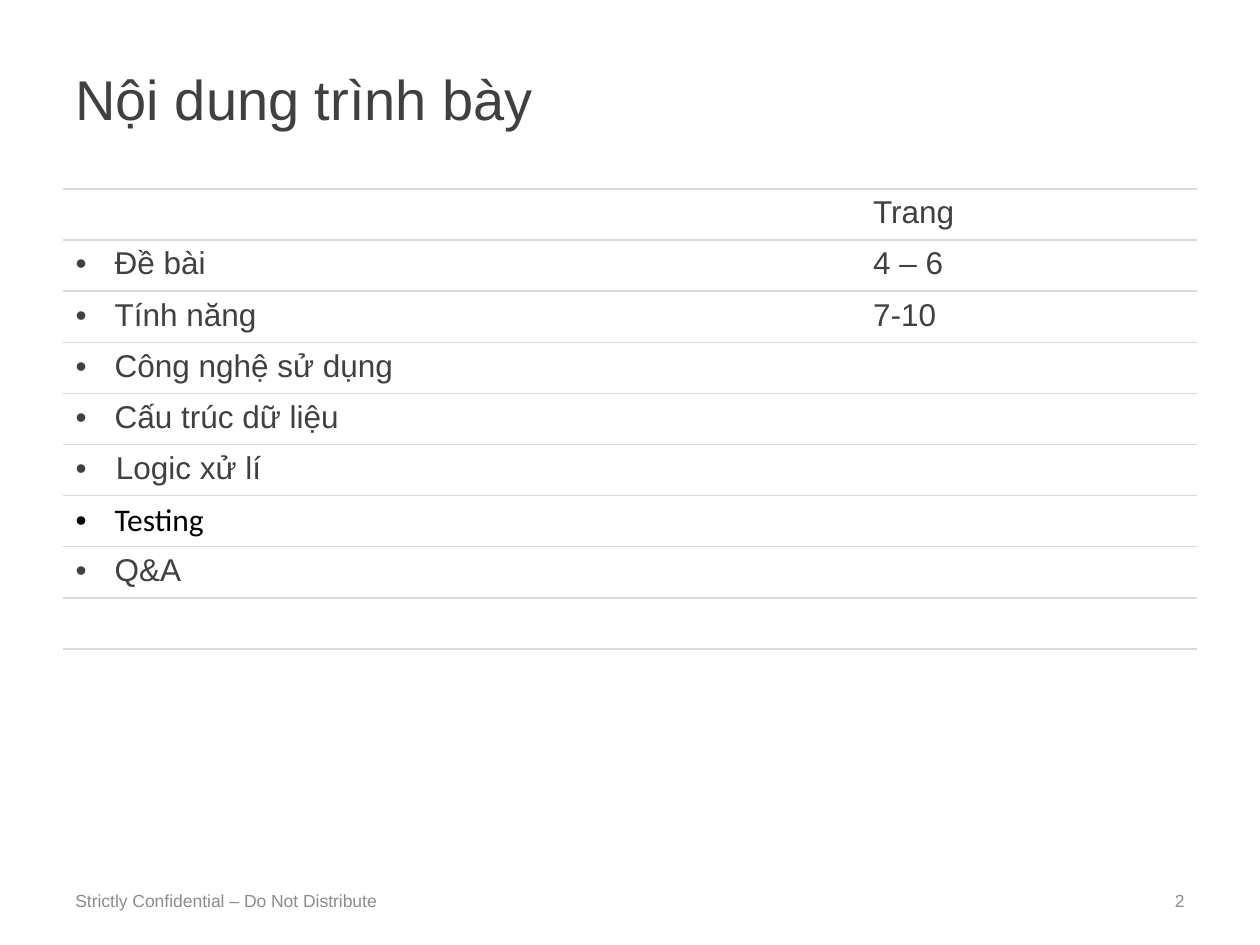
"""Build the agenda slide with its table of topics and pages."""
from lxml import etree
from pptx import Presentation
from pptx.dml.color import RGBColor
from pptx.enum.text import MSO_ANCHOR, PP_ALIGN
from pptx.oxml.ns import qn
from pptx.util import Inches, Pt

MIDDLE = MSO_ANCHOR.MIDDLE
LEFT, RIGHT = PP_ALIGN.LEFT, PP_ALIGN.RIGHT
COLORS = {"text": "404040", "muted": "8C8C8C", "rule": "D9D9D9", "black": "000000"}


def add_run(paragraph, text, size, color, font="Arial"):
    run = paragraph.add_run()
    run.text = text
    run.font.size = Pt(size)
    run.font.name = font
    run.font.color.rgb = RGBColor.from_string(COLORS[color])


def set_borders(cell):
    cell.fill.background()
    properties = cell._tc.get_or_add_tcPr()
    for position, side in enumerate(("lnL", "lnR", "lnT", "lnB")):
        line = etree.Element(qn(f"a:{side}"), w=str(Pt(1)))
        if side in ("lnT", "lnB"):
            fill = etree.SubElement(line, qn("a:solidFill"))
            etree.SubElement(fill, qn("a:srgbClr"), val=COLORS["rule"])
        else:
            etree.SubElement(line, qn("a:noFill"))
        properties.insert(position, line)


prs = Presentation()
prs.slide_width, prs.slide_height = Inches(10), Inches(7.5)
slide = prs.slides.add_slide(prs.slide_layouts[6])

labels = [
    ("Nội dung trình bày", (0.5, 0.3, 9, 0.95), 32, "text", LEFT),
    ("Strictly Confidential – Do Not Distribute", (0.5, 6.95, 5.5, 0.4), 10, "muted", LEFT),
    ("2", (7.17, 6.95, 2.33, 0.4), 10, "muted", RIGHT),
]
for text, bounds, size, color, alignment in labels:
    frame = slide.shapes.add_textbox(*map(Inches, bounds)).text_frame
    frame.word_wrap = True
    frame.vertical_anchor = MIDDLE
    frame.paragraphs[0].alignment = alignment
    add_run(frame.paragraphs[0], text, size, color)

agenda = [
    ("", "Trang"),
    ("Đề bài", "4 – 6"),
    ("Tính năng", "7-10"),
    ("Công nghệ sử dụng", ""),
    ("Cấu trúc dữ liệu", ""),
    (" Logic xử lí", ""),
    ("Testing", ""),
    ("Q&A", ""),
    ("", ""),
]
topic_styles = {"Testing": ("black", "Calibri")}
topic_indents = {" Logic xử lí": 0.25}

table_height = Inches(3.65)
table = slide.shapes.add_table(
    len(agenda), 2, Inches(0.5), Inches(1.5), Inches(9), table_height
).table
table.first_row = table.horz_banding = False
for column, width in zip(table.columns, (6.33, 2.67)):
    column.width = Inches(width)

for row_index, entries in enumerate(agenda):
    table.rows[row_index].height = table_height // len(agenda)
    for column_index, text in enumerate(entries):
        cell = table.cell(row_index, column_index)
        set_borders(cell)
        paragraph = cell.text_frame.paragraphs[0]
        if not text:
            paragraph.font.size = Pt(18)
            continue
        if column_index == 0:
            indent = Inches(topic_indents.get(text, 0.31))
            properties = paragraph._p.get_or_add_pPr()
            properties.set("marL", str(indent))
            properties.set("indent", str(-indent))
            etree.SubElement(properties, qn("a:buFont"), typeface="Arial")
            etree.SubElement(properties, qn("a:buChar"), char="•")
        add_run(paragraph, text, 18, *topic_styles.get(text, ("text", "Arial")))

prs.save("out.pptx")
